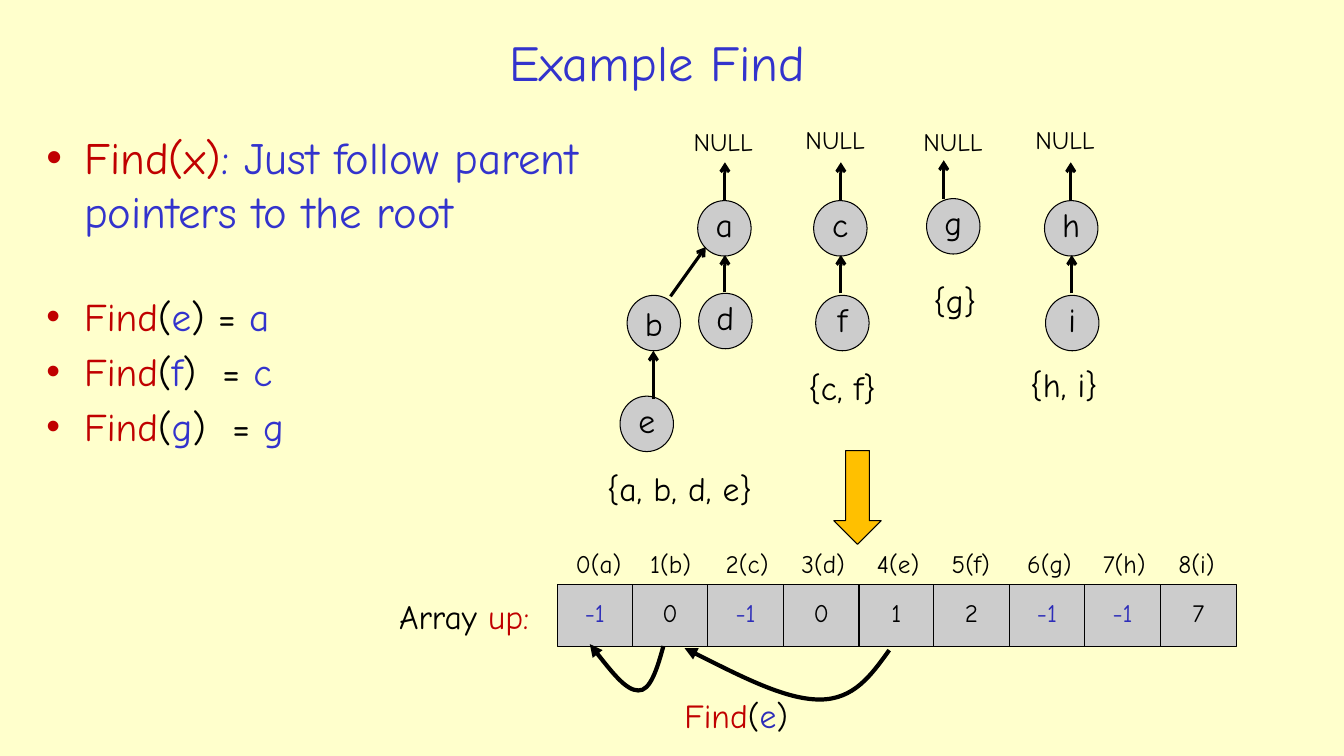
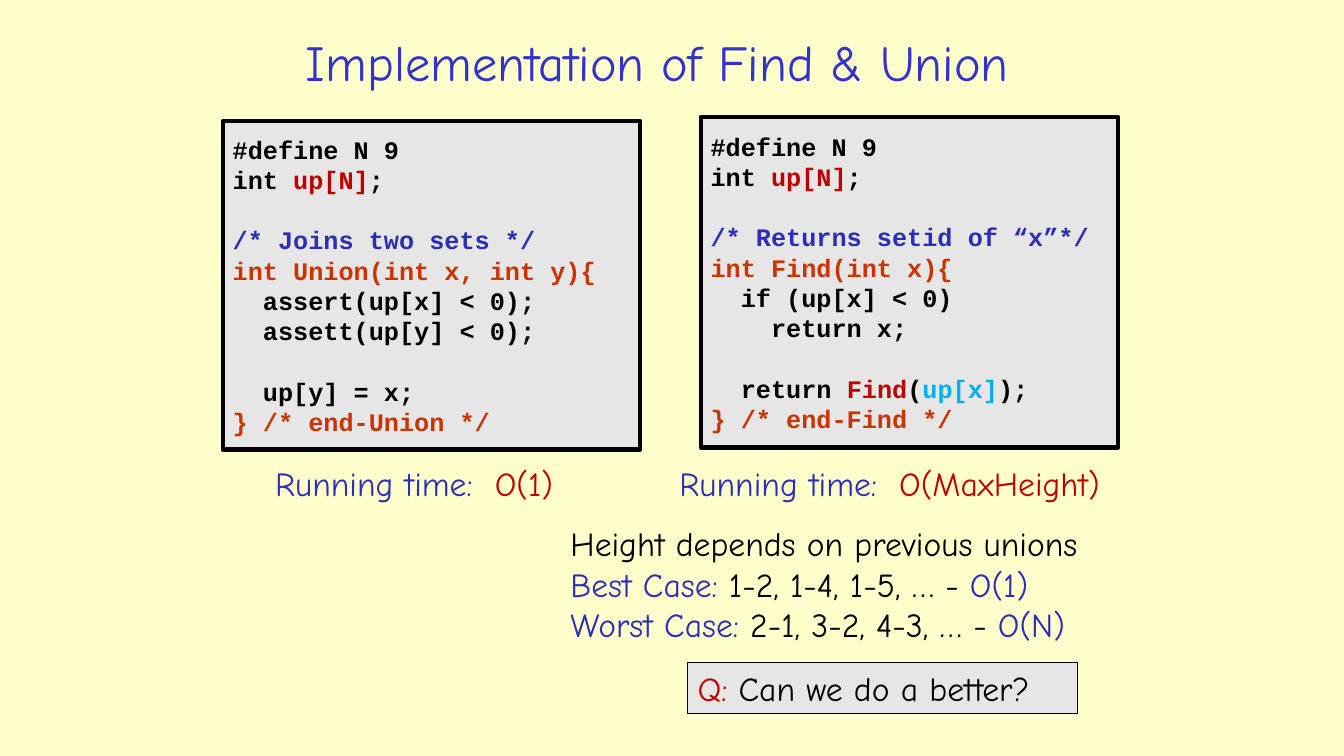
from lxml import etree
from pptx import Presentation
from pptx.dml.color import RGBColor
from pptx.enum.shapes import MSO_CONNECTOR, MSO_SHAPE
from pptx.enum.text import MSO_ANCHOR, MSO_AUTO_SIZE, PP_ALIGN
from pptx.oxml.ns import qn
from pptx.util import Emu, Pt

EMU_PER_PX = 9144
COLORS = {
    "background": "FFFFCC", "black": "000000", "title": "3333CC", "blue": "2D2DB9",
    "red": "C00000", "orange": "CC3300", "cyan": "00B0F0", "amber": "FFC000",
    "node": "CCCCCC", "panel": "E6E6E6",
}
TEXT_FONT = {"name": "Comic Neue", "bold": False}
CODE_FONT = {"name": "Courier New", "bold": True}
TITLE_ONLY, TITLE_AND_BODY = 5, 1
TITLE_BOX = (204, 26, 896, 69)

FIND_BULLETS = [
    # runs, size, space before
    ([("Find(x)", "red"), (": Just follow parent pointers to the root", "title")], 32, 0),
    ([("Find", "red"), ("(", "black"), ("e", "title"), (") = ", "black"), ("a", "title")], 28, 39),
    ([("Find", "red"), ("(", "black"), ("f", "title"), (")  = ", "black"), ("c", "title")], 28, 5.6),
    ([("Find", "red"), ("(", "black"), ("g", "title"), (")  = ", "black"), ("g", "title")], 28, 5.6),
]
NODES = {
    "a": (692, 199), "b": (622, 293), "d": (693, 291), "e": (615, 393), "c": (807, 199),
    "f": (809, 293), "g": (919, 197), "h": (1036, 199), "i": (1037, 293),
}
PARENT_ARROWS = [
    (665, 294, 700, 245), (719, 290, 719, 253), (648, 396, 648, 348), (834, 291, 834, 253),
    (719, 199, 719, 161), (834, 199, 834, 161), (936, 197, 936, 159), (1063, 291, 1063, 253),
    (1062, 199, 1062, 161),
]
NULL_LABELS = [(678, 120), (789, 118), (906, 120), (1017, 118)]
SET_LABELS = {
    "{a, b, d, e}": (592, 459, 178), "{c, f}": (792, 359, 99),
    "{g}": (916, 273, 64), "{h, i}": (1012, 356, 93),
}
UP_VALUES = [-1, 0, -1, 0, 1, 2, -1, -1, 7]
FIND_CURVES = [
    [(882, 645), (864, 670), (847, 694), (813, 694), (779, 694), (729, 668), (679, 643)],
    [(658, 641), (652, 663), (645, 686), (633, 685), (621, 685), (603, 662), (585, 639)],
]

CODE_HEADER = [
    [("#define N 9", "black")],
    [("int ", "black"), ("up[N]", "red"), (";", "black")],
    [],
]
UNION_CODE = CODE_HEADER + [
    [("/* Joins two sets */", "blue")],
    [("int Union(int x, int y){", "orange")],
    [("  assert(up[x] < 0);", "black")],
    [("  assett(up[y] < 0);", "black")],
    [],
    [("  up[y] = x;", "black")],
    [("} /* end-Union */", "orange")],
]
FIND_CODE = CODE_HEADER + [
    [("/* Returns setid of “x”*/", "blue")],
    [("int Find(int x){", "orange")],
    [("  if (up[x] < 0)", "black")],
    [("    return x;", "black")],
    [],
    [("  return ", "black"), ("Find", "red"), ("(", "black"), ("up[x]", "cyan"), (");", "black")],
    [("} /* end-Find */", "orange")],
]
HEIGHT_NOTES = [
    [("Height depends on previous unions", "black")],
    [("Best Case: ", "blue"), ("1-2, 1-4, 1-5, … - ", "black"), ("O(1)", "blue")],
    [("Worst Case: ", "blue"), ("2-1, 3-2, 4-3, … - ", "black"), ("O(N)", "blue")],
]


def px(*lengths):
    return [Emu(length * EMU_PER_PX) for length in lengths]


def color(name):
    return RGBColor.from_string(COLORS[name])


def set_attributes(target, values):
    for name, value in values.items():
        setattr(target, name, value)


def place(shape, box):
    set_attributes(shape, dict(zip(("left", "top", "width", "height"), px(*box))))


def write_runs(paragraph, runs, size, font=TEXT_FONT):
    for text, color_name in runs:
        run = paragraph.add_run()
        run.text = text
        set_attributes(run.font, {**font, "size": Pt(size)})
        run.font.color.rgb = color(color_name)


def write_lines(frame, lines, size, font=TEXT_FONT, **paragraph_format):
    for index, runs in enumerate(lines):
        paragraph = frame.add_paragraph() if index else frame.paragraphs[0]
        set_attributes(paragraph, paragraph_format)
        write_runs(paragraph, runs, size, font)


def set_line(line, width, color_name="black"):
    line.color.rgb = color(color_name)
    line.width = Pt(width)


def add_arrowhead(line_shape, kind):
    etree.SubElement(line_shape.line._get_or_add_ln(), qn("a:tailEnd"), type=kind)


def add_slide(presentation, layout_index, title):
    slide = presentation.slides.add_slide(presentation.slide_layouts[layout_index])
    frame = slide.shapes.title.text_frame
    set_attributes(frame, {"auto_size": MSO_AUTO_SIZE.NONE, "vertical_anchor": MSO_ANCHOR.MIDDLE})
    write_lines(frame, [[(title, "title")]], 36, alignment=PP_ALIGN.CENTER)
    return slide


def add_text(slide, box, lines, size=24, wrap=False):
    frame = slide.shapes.add_textbox(*px(*box)).text_frame
    set_attributes(frame, {"word_wrap": wrap, "auto_size": MSO_AUTO_SIZE.SHAPE_TO_FIT_TEXT})
    write_lines(frame, lines, size)


def add_label(slide, box, text, color_name="black", size=24):
    add_text(slide, box, [[(text, color_name)]], size)


def add_outlined(slide, kind, box, fill, line_width=0.75):
    shape = slide.shapes.add_shape(kind, *px(*box))
    shape.shadow.inherit = False
    shape.fill.solid()
    shape.fill.fore_color.rgb = color(fill)
    set_line(shape.line, line_width)
    return shape


def add_marked(slide, kind, box, text, size, color_name="black", lift=6):
    """Add a grey shape whose centred text sits slightly above the middle."""
    frame = add_outlined(slide, kind, box, "node").text_frame
    set_attributes(frame, {
        "margin_left": 0, "margin_right": 0, "margin_top": 0, "margin_bottom": px(lift)[0],
        "word_wrap": False, "vertical_anchor": MSO_ANCHOR.MIDDLE,
    })
    write_lines(frame, [[(text, color_name)]], size, alignment=PP_ALIGN.CENTER)


def add_arrow(slide, ends):
    connector = slide.shapes.add_connector(MSO_CONNECTOR.STRAIGHT, *px(*ends))
    set_line(connector.line, 2.25)
    add_arrowhead(connector, "arrow")
    etree.SubElement(connector._element.spPr, qn("a:effectLst"))


def add_curved_arrow(slide, points):
    """Draw Bézier curves through a start point and triples of control points."""
    builder = slide.shapes.build_freeform(*points[0], scale=EMU_PER_PX)
    builder.add_line_segments(points[1:], close=False)
    curve = builder.convert_to_shape()
    segments = list(curve._element.iter(qn("a:lnTo")))
    outline = segments[0].getparent()
    for start in range(0, len(segments), 3):
        bezier = etree.SubElement(outline, qn("a:cubicBezTo"))
        for segment in segments[start:start + 3]:
            bezier.append(segment[0])
            outline.remove(segment)
    curve.shadow.inherit = False
    curve.fill.background()
    set_line(curve.line, 3)
    add_arrowhead(curve, "triangle")


def add_bullets(slide, box, bullets):
    body = slide.placeholders[1]
    place(body, box)
    frame = body.text_frame
    frame.auto_size = MSO_AUTO_SIZE.NONE
    for index, (runs, size, space_before) in enumerate(bullets):
        paragraph = frame.add_paragraph() if index else frame.paragraphs[0]
        paragraph.space_before = Pt(space_before)
        write_runs(paragraph, runs, size)


def add_array(slide, left, top, width, values):
    count = len(values)
    edges = [left + width * index // count for index in range(count + 1)]
    for index, (value, name) in enumerate(zip(values, "abcdefghi")):
        cell_left = edges[index]
        box = (cell_left, top, edges[index + 1] - cell_left, 61)
        color_name = "blue" if value < 0 else "black"
        add_marked(slide, MSO_SHAPE.RECTANGLE, box, str(value), 18, color_name)
        add_label(slide, (cell_left + 8, top - 41, 67, 40), f"{index}({name})", size=18)


def add_code(slide, box, lines):
    frame = add_outlined(slide, MSO_SHAPE.RECTANGLE, box, "panel", 3).text_frame
    set_attributes(frame, {"word_wrap": False, "vertical_anchor": MSO_ANCHOR.MIDDLE})
    write_lines(frame, lines, 18, CODE_FONT, alignment=PP_ALIGN.LEFT, line_spacing=Pt(21.6))


def build_example_slide(presentation):
    slide = add_slide(presentation, TITLE_AND_BODY, "Example Find")
    add_bullets(slide, (36, 124, 628, 383), FIND_BULLETS)
    for name, (left, top) in NODES.items():
        lift = 0 if name == "b" else 8
        add_marked(slide, MSO_SHAPE.OVAL, (left, top, 53, 55), name, 24, lift=lift)
    for ends in PARENT_ARROWS:
        add_arrow(slide, ends)
    for left, top in NULL_LABELS:
        add_label(slide, (left, top, 88, 40), "NULL", size=18)
    for text, (left, top, width) in SET_LABELS.items():
        add_label(slide, (left, top, width, 51), text)
    add_array(slide, 553, 580, 673, UP_VALUES)
    add_text(slide, (386, 586, 167, 51), [[("Array ", "black"), ("up:", "red")]])
    add_outlined(slide, MSO_SHAPE.DOWN_ARROW, (827, 447, 47, 93), "amber")
    for points in FIND_CURVES:
        add_curved_arrow(slide, points)
    find_e = [("Find", "red"), ("(", "black"), ("e", "blue"), (")", "black")]
    add_text(slide, (669, 684, 131, 51), [find_e])


def build_implementation_slide(presentation):
    slide = add_slide(presentation, TITLE_ONLY, "Implementation of Find & Union")
    add_code(slide, (221, 120, 414, 326), UNION_CODE)
    add_code(slide, (695, 116, 414, 328), FIND_CODE)
    for left, cost, cost_width in ((263, "O(1)", 87), (664, "O(MaxHeight)", 245)):
        add_label(slide, (left, 454, 229, 51), "Running time:", "blue")
        add_label(slide, (left + 218, 454, cost_width, 51), cost, "red")
    add_text(slide, (556, 514, 586, 131), HEIGHT_NOTES, wrap=True)
    question = add_outlined(slide, MSO_SHAPE.RECTANGLE, (682, 657, 387, 51), "panel")
    write_lines(question.text_frame, [[("Q: ", "red"), ("Can we do a better?", "black")]], 24,
                alignment=PP_ALIGN.LEFT)


def main():
    presentation = Presentation()
    presentation.slide_width, presentation.slide_height = px(1333, 750)
    master = presentation.slide_master
    master.background.fill.solid()
    master.background.fill.fore_color.rgb = color("background")
    place(master.placeholders[0], TITLE_BOX)
    build_example_slide(presentation)
    build_implementation_slide(presentation)
    presentation.save("out.pptx")


if __name__ == "__main__":
    main()
